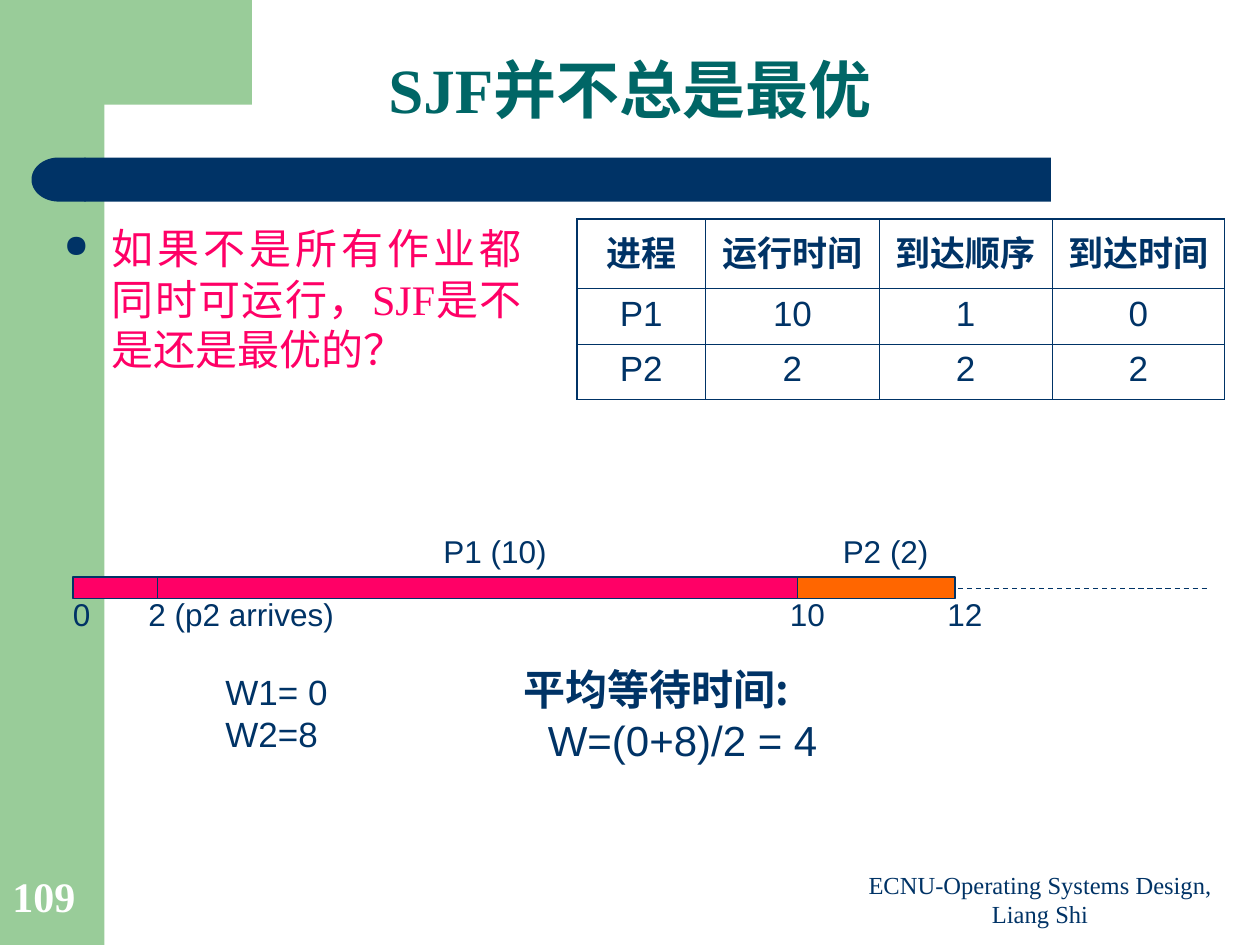
from lxml.etree import SubElement
from pptx import Presentation
from pptx.dml.color import RGBColor
from pptx.enum.dml import MSO_LINE as Dash
from pptx.enum.shapes import MSO_CONNECTOR as Conn, MSO_SHAPE as Kind
from pptx.enum.text import MSO_ANCHOR as Anchor, PP_ALIGN as Align
from pptx.oxml import parse_xml
from pptx.oxml.ns import nsdecls, qn
from pptx.util import Inches, Pt

NAVY, PINK, ORANGE, GREEN, TEAL = "003366", "FF0066", "FF6600", "99CC99", "006666"
HAN, SANS, SERIF = "Noto Sans CJK SC", "Arial", "Times New Roman"


def color(code):
    return RGBColor.from_string(code)


def write(par, text, size=18, font=SANS, fill=NAVY, bold=False, align=None, line=None):
    run = par.add_run()
    run.text = text
    run.font.size = Pt(size)
    run.font.name = font
    run.font.bold = bold
    run.font.color.rgb = color(fill)
    SubElement(run.font._element, qn("a:ea"), typeface=HAN)
    if align is not None:
        par.alignment = align
    if line:
        par.line_spacing = line


def frame(slide, box, wrap=True, anchor=Anchor.TOP):
    area = slide.shapes.add_textbox(*map(Inches, box)).text_frame
    area.word_wrap = wrap
    area.vertical_anchor = anchor
    return area


def label(slide, text, box, wrap=False, anchor=Anchor.TOP, **form):
    write(frame(slide, box, wrap, anchor).paragraphs[0], text, **form)


def paint(shape, fill, edge=None):
    shape.shadow.inherit = False
    shape.fill.solid()
    shape.fill.fore_color.rgb = color(fill)
    if edge:
        shape.line.color.rgb = color(edge)
        shape.line.width = Pt(0.75)
    else:
        shape.line.fill.background()


def block(slide, box, fill, kind=Kind.RECTANGLE, edge=None):
    shape = slide.shapes.add_shape(kind, *map(Inches, box))
    paint(shape, fill, edge)
    return shape


def rule(slide, x1, y1, x2, y2, dash=None):
    line = slide.shapes.add_connector(Conn.STRAIGHT, *map(Inches, (x1, y1, x2, y2)))
    line.line.color.rgb = color(NAVY)
    line.line.width = Pt(0.75)
    if dash:
        line.line.dash_style = dash
    SubElement(line._element.spPr, qn("a:effectLst"))


def backdrop(slide, box):
    left, top, wide, high = box
    block(slide, (left, top, 0.83, high), GREEN)
    pen = slide.shapes.build_freeform(150, 0, scale=Inches(0.01))
    pen.add_line_segments([(150, 83), (33, 83), (27, 85), (21, 92), (18, 104),
                           (17, 116), (17, 128), (0, 128), (0, 0)])
    paint(pen.convert_to_shape(Inches(left + 0.5), Inches(top)), GREEN)
    block(slide, (left + 0.67, top + 1.25, 7.67, 0.35), NAVY)
    cap = block(slide, (left + 0.25, top + 1.25, 0.43, 0.35), NAVY, Kind.FLOWCHART_DELAY)
    cap.rotation = 180


def heading(slide, box):
    par = frame(slide, box, anchor=Anchor.BOTTOM).paragraphs[0]
    form = dict(size=36, fill=TEAL, bold=True, align=Align.CENTER, line=0.9)
    write(par, "SJF", font=SERIF, **form)
    write(par, "并不总是最优", **form)


def question(slide, box):
    par = frame(slide, box).paragraphs[0]
    props = par._p.get_or_add_pPr()
    props.set("marL", str(Inches(0.38)))
    props.set("indent", str(-Inches(0.38)))
    tint = SubElement(props, qn("a:buClr"))
    SubElement(tint, qn("a:srgbClr"), val=NAVY)
    SubElement(props, qn("a:buSzPct"), val="75000")
    SubElement(props, qn("a:buChar"), char="●")
    for text, font in (("如果不是所有作业都同时可运行，", HAN), ("SJF", SERIF),
                       ("是不是还是最优的？", HAN)):
        write(par, text, size=24, font=font, fill=PINK, align=Align.JUSTIFY)


def border(cell, sides):
    props = cell._tc.get_or_add_tcPr()
    for spot, (side, outer) in enumerate(sides):
        width = Pt(1.08 if outer else 0.45)
        props.insert(spot, parse_xml(
            f'<a:ln{side} {nsdecls("a")} w="{width}"><a:solidFill>'
            f'<a:srgbClr val="{NAVY}"/></a:solidFill></a:ln{side}>'))


def jobs(slide, box):
    rows = [("进程", "运行时间", "到达顺序", "到达时间"),
            ("P1", "10", "1", "0"), ("P2", "2", "2", "2")]
    wides, highs = (1.02, 1.38, 1.37, 1.37), (0.55, 0.44, 0.44)
    table = slide.shapes.add_table(len(rows), len(wides), *map(Inches, box)).table
    table.first_row = table.horz_banding = False
    for col, wide in zip(table.columns, wides):
        col.width = Inches(wide)
    for r, (row, high) in enumerate(zip(rows, highs)):
        table.rows[r].height = Inches(high)
        for c, text in enumerate(row):
            cell = table.cell(r, c)
            cell.fill.background()
            cell.vertical_anchor = Anchor.TOP
            border(cell, (("L", c == 0), ("R", c == len(wides) - 1),
                          ("T", r == 0), ("B", r == len(rows) - 1)))
            write(cell.text_frame.paragraphs[0], text, size=20, bold=r == 0,
                  align=Align.CENTER)


def timeline(slide, box):
    left, top, wide, high = box
    bar = top + 0.41
    mid = bar + 0.09
    rule(slide, left, mid, left + wide, mid, Dash.DASH)
    block(slide, (left, bar, 5.75, 0.17), PINK, edge=NAVY)
    block(slide, (left + 5.75, bar, 1.25, 0.17), ORANGE, edge=NAVY)
    rule(slide, left + 0.67, bar, left + 0.67, bar + 0.17)
    for text, x, y, w in (("P1 (10)", 2.84, top, 1.02), ("P2 (2)", 6.01, top, 0.88),
                          ("0", -0.1, mid, 0.34), ("2 (p2 arrives)", 0.5, mid, 2.08),
                          ("10", 5.59, mid, 0.48), ("12", 6.84, mid, 0.48)):
        label(slide, text, (left + x, y, w, 0.4))


def waits(slide, box):
    left, top, wide, high = box
    area = frame(slide, (left, top + 0.05, 1.33, 0.77))
    write(area.paragraphs[0], "W1= 0", size=20)
    write(area.add_paragraph(), "W2=8", size=20)
    area = frame(slide, (left + 2.37, top, 2.57, high), wrap=False)
    write(area.paragraphs[0], "平均等待时间:", size=24, font=HAN, bold=True)
    par = area.add_paragraph()
    par._p.get_or_add_pPr().set("marL", str(Inches(0.19)))
    write(par, "W=(0+8)/2 = 4", size=24)


def footer(slide, box):
    left, top, wide, high = box
    label(slide, "ECNU-Operating Systems Design, Liang Shi",
          (left + 6.67, top + 0.07, 3.17, 0.52), True, Anchor.BOTTOM,
          size=14, font=SERIF, align=Align.CENTER)
    label(slide, "109", (left, top, 0.82, 0.53), True, Anchor.BOTTOM,
          size=24, font=SERIF, fill="FFFFFF", bold=True, line=0.9)


def main():
    deck = Presentation()
    deck.slide_width, deck.slide_height = Inches(10), Inches(7.5)
    slide = deck.slides.add_slide(deck.slide_layouts[6])
    backdrop(slide, (0, 0, 10, 7.5))
    heading(slide, (0.06, 0.26, 9.88, 0.8))
    question(slide, (0.41, 1.72, 3.83, 1.33))
    jobs(slide, (4.58, 1.74, 5.14, 1.43))
    timeline(slide, (0.58, 4.17, 9, 0.9))
    waits(slide, (1.69, 5.22, 4.94, 0.9))
    footer(slide, (0, 6.83, 9.84, 0.59))
    deck.save("out.pptx")


if __name__ == "__main__":
    main()
